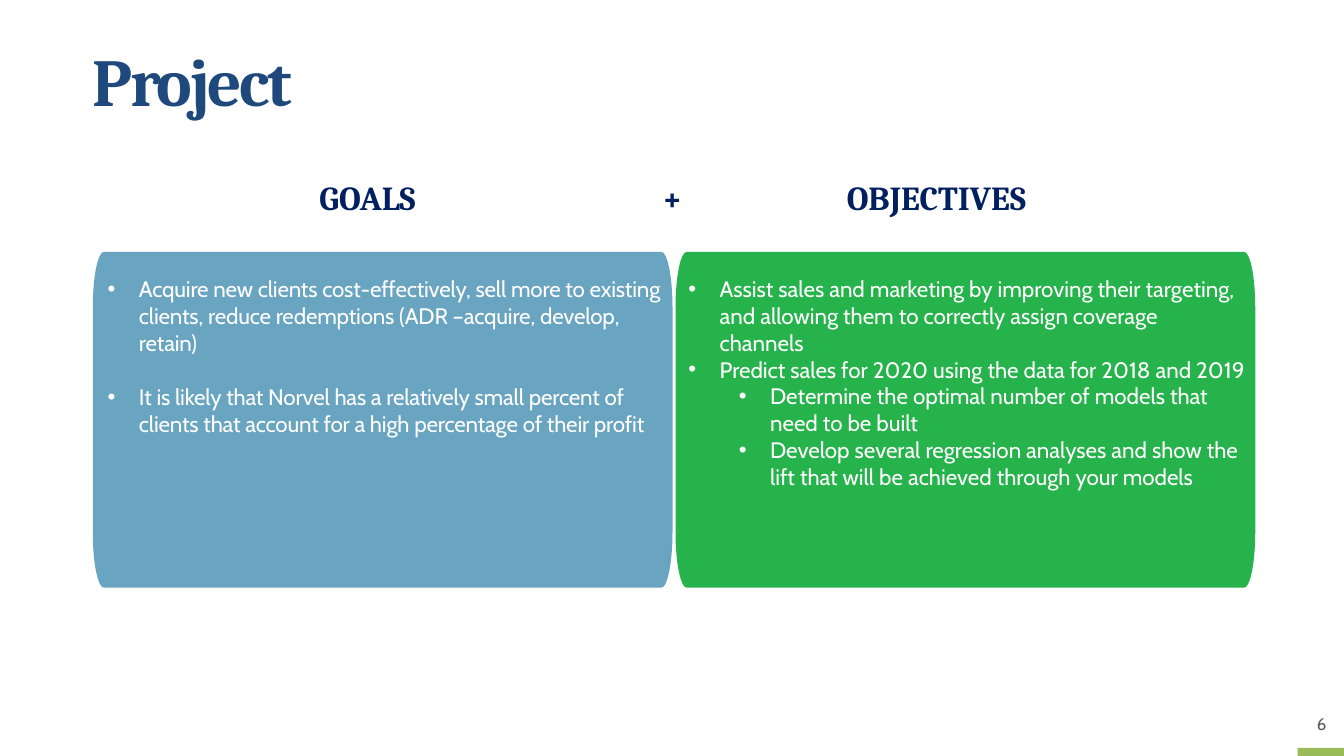
import math

from lxml import etree
from pptx import Presentation
from pptx.dml.color import RGBColor
from pptx.enum.shapes import MSO_SHAPE
from pptx.enum.text import MSO_ANCHOR
from pptx.oxml.ns import qn
from pptx.util import Inches, Pt

RECTANGLE = MSO_SHAPE.RECTANGLE
TOP = MSO_ANCHOR.TOP

WHITE = RGBColor(0xFF, 0xFF, 0xFF)
TITLE_BLUE = RGBColor(0x1F, 0x49, 0x7D)
NAVY = RGBColor(0x00, 0x20, 0x60)
PANEL_BLUE = RGBColor(0x69, 0xA4, 0xC0)
PANEL_GREEN = RGBColor(0x26, 0xB3, 0x4B)
ACCENT_GREEN = RGBColor(0x9B, 0xBA, 0x58)
GREY = RGBColor(0x58, 0x58, 0x58)

SLIDE_W, SLIDE_H = 13.33, 7.5
CORNER_W, CORNER_H = 0.11, 0.55
CORNER_STEPS = 8
HANGING = 0.31

GOALS = [
    (0, "Acquire new clients cost-effectively, sell more to existing clients, "
        "reduce redemptions (ADR –acquire, develop, retain)"),
    (0, "It is likely that Norvel has a relatively small percent of clients "
        "that account for a high percentage of their profit"),
]
OBJECTIVES = [
    (0, "Assist sales and marketing by improving their targeting, and allowing "
        "them to correctly assign coverage channels"),
    (0, "Predict sales for 2020 using the data for 2018 and 2019"),
    (1, "Determine the optimal number of models that need to be built"),
    (1, "Develop several regression analyses and show the lift that will be "
        "achieved through your models"),
]
HEADINGS = [("GOALS", 3.07, 1.45), ("+", 6.47, 0.39), ("OBJECTIVES", 8.3, 2.55)]


def add_box(s, x, y, w, h, inset_x=0.1, inset_y=0.05):
    """Add an empty wrapping text box and return its text frame."""
    tf = s.shapes.add_textbox(Inches(x), Inches(y), Inches(w), Inches(h)).text_frame
    tf.word_wrap = True
    tf.vertical_anchor = TOP
    tf.margin_left = tf.margin_right = Inches(inset_x)
    tf.margin_top = tf.margin_bottom = Inches(inset_y)
    return tf


def write(p, text, size=16, font="Cabin", color=WHITE, bold=False, spacing=0,
          before=0, indent=0, bullet=False):
    """Write text into a paragraph with the given format."""
    p.space_before = Pt(before)
    p_pr = p._p.get_or_add_pPr()
    p_pr.set("marL", str(Inches(indent)))
    p_pr.set("indent", str(-Inches(HANGING) if bullet else 0))
    if bullet:
        etree.SubElement(p_pr, qn("a:buFont")).set("typeface", "Arial")
        etree.SubElement(p_pr, qn("a:buChar")).set("char", "•")
    r = p.add_run()
    r.text = text
    r.font.name = font
    r.font.size = Pt(size)
    r.font.bold = bold
    r.font.color.rgb = color
    if spacing:
        r._r.get_or_add_rPr().set("spc", str(round(spacing * 100)))


def paint(sp, color):
    """Give a shape a flat fill with no line or shadow."""
    sp.shadow.inherit = False
    sp.fill.solid()
    sp.fill.fore_color.rgb = color
    sp.line.fill.background()


def add_panel(s, x, y, w, h, color):
    """Draw a panel whose corners are tall quarter ellipses."""
    centres = [
        (x + w - CORNER_W, y + h - CORNER_H),
        (x + CORNER_W, y + h - CORNER_H),
        (x + CORNER_W, y + CORNER_H),
        (x + w - CORNER_W, y + CORNER_H),
    ]
    points = []
    for quarter, (cx, cy) in enumerate(centres):
        for step in range(CORNER_STEPS + 1):
            angle = (quarter + step / CORNER_STEPS) * math.pi / 2
            points.append((Inches(cx + CORNER_W * math.cos(angle)),
                           Inches(cy + CORNER_H * math.sin(angle))))
    outline = s.shapes.build_freeform(*points[0])
    outline.add_line_segments(points[1:], close=True)
    paint(outline.convert_to_shape(), color)


def add_bullets(s, x, y, w, h, items, first_indent=HANGING, gap=0, spacing=0):
    """Write a bulleted list of (level, text) items in a box."""
    tf = add_box(s, x, y, w, h)
    for i, (level, text) in enumerate(items):
        p = tf.add_paragraph() if i else tf.paragraphs[0]
        p.level = level
        write(p, text, indent=first_indent + level * 0.5, bullet=True,
              before=gap if i else 0, spacing=spacing)


def add_header(s, x, y):
    """Place the title and the row of column headings."""
    tf = add_box(s, x, y, 4.58, 0.82, 0, 0.01)
    write(tf.paragraphs[0], "Project", size=48, font="Cambria", color=TITLE_BLUE,
          bold=True, spacing=-1.8, before=1.1, indent=0.01)
    for text, left, width in HEADINGS:
        tf = add_box(s, left, y + 1.33, width, 0.5)
        write(tf.paragraphs[0], text, size=24, font="Cambria", color=NAVY, bold=True)


def add_columns(s, x, y, w, h):
    """Place the goals and objectives panels side by side."""
    right = x + w + 0.03
    add_panel(s, x, y, w, h, PANEL_BLUE)
    add_panel(s, right, y, w, h, PANEL_GREEN)
    add_bullets(s, x + 0.03, y + 0.18, w, 2.3, GOALS,
                first_indent=0.33, gap=19.5, spacing=-0.1)
    add_bullets(s, right + 0.03, y + 0.18, w - 0.03, 3.1, OBJECTIVES)


def add_footer(s, w, h):
    """Place the accent bar and the page number at the bottom right."""
    bar = s.shapes.add_shape(RECTANGLE, Inches(SLIDE_W - w), Inches(SLIDE_H - h),
                             Inches(w), Inches(h))
    paint(bar, ACCENT_GREEN)
    tf = add_box(s, SLIDE_W - 0.31, SLIDE_H - 0.42, 0.17, 0.23, 0, 0)
    write(tf.paragraphs[0], "6", size=12, color=GREY, before=1, indent=0.04)


def main():
    """Build the slide and save it."""
    prs = Presentation()
    prs.slide_width, prs.slide_height = Inches(SLIDE_W), Inches(SLIDE_H)
    s = prs.slides.add_slide(prs.slide_layouts[6])
    add_footer(s, 0.46, 0.08)
    add_header(s, 0.91, 0.38)
    add_columns(s, 0.92, 2.5, 5.75, 3.33)
    prs.save("out.pptx")


if __name__ == "__main__":
    main()
